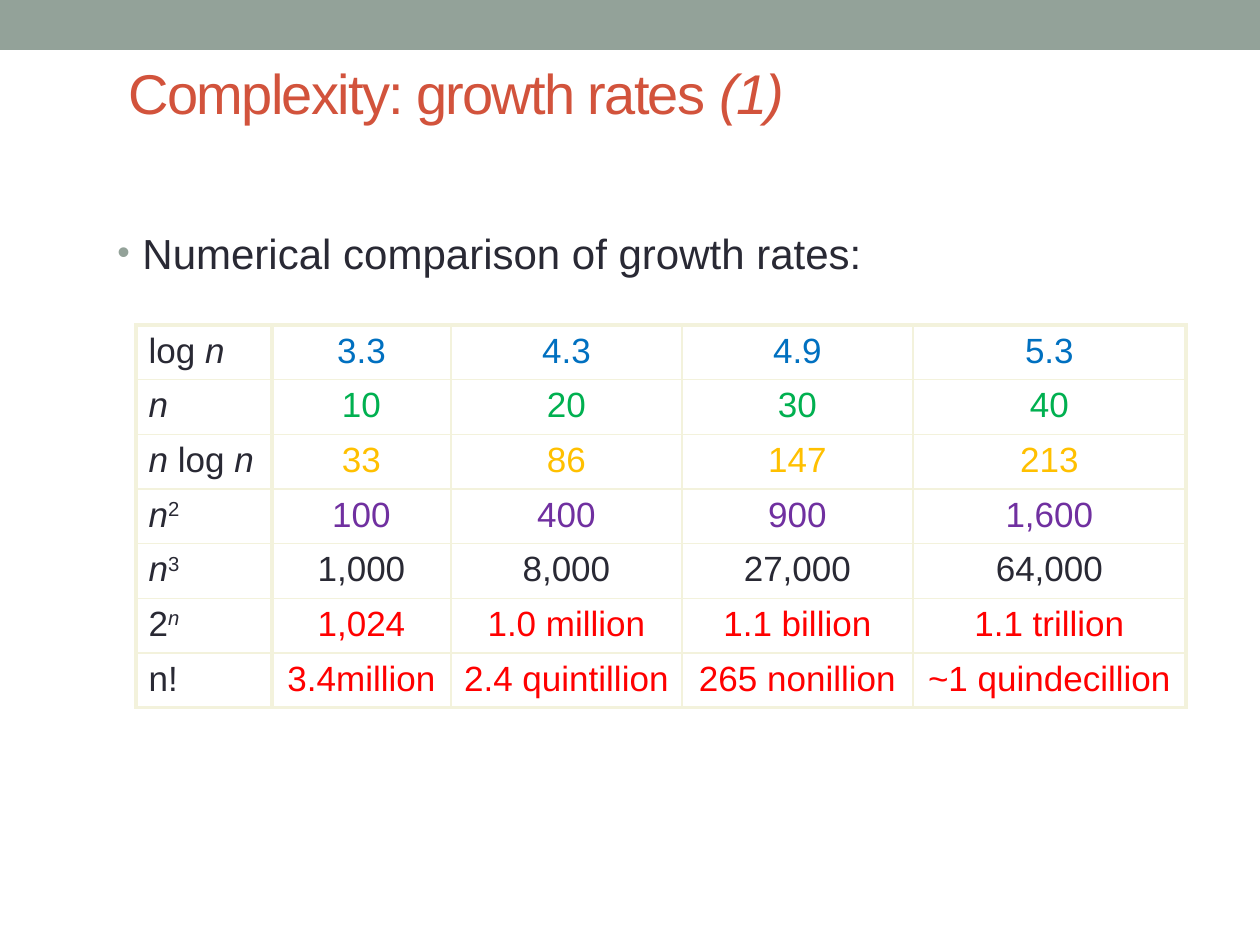
import pptx
import pptx.util
import pptx.dml.color
import pptx.enum.shapes
import pptx.enum.text
import pptx.oxml.ns
from lxml import etree
from dataclasses import dataclass

PX = 914400 / 126  # EMU in one px


@dataclass(frozen=True)
class Theme:
    font: str = "Arial"
    banner: str = "93A299"
    title: str = "D2533C"
    text: str = "292934"
    border: str = "F3F2DC"
    paper: str = "FFFFFF"
    title_size: int = 32
    body_size: int = 24
    table_size: int = 20


theme = Theme()
align = pptx.enum.text.PP_ALIGN
rgb = pptx.dml.color.RGBColor.from_string


def px(*lengths):
    return [pptx.util.Emu(round(length * PX)) for length in lengths]


def write(paragraph, text, size=theme.table_size, color=theme.text, alignment=align.LEFT, spacing=0):
    """Write text where *...* is italic and ^ raises the piece after it."""
    paragraph.alignment = alignment
    for index, piece in enumerate(text.split("*")):
        for level, part in enumerate(piece.split("^")):
            if not part:
                continue
            run = paragraph.add_run()
            run.text = part
            run.font.name = theme.font
            run.font.size = pptx.util.Pt(size)
            run.font.italic = index % 2 == 1
            run.font.color.rgb = rgb(color)
            properties = run._r.get_or_add_rPr()
            if level:
                properties.set("baseline", "30000")
            if spacing:
                properties.set("spc", str(spacing * 100))


presentation = pptx.Presentation()
presentation.slide_width, presentation.slide_height = px(1260, 945)
slide = presentation.slides.add_slide(presentation.slide_layouts[5])

# Banner
banner = slide.shapes.add_shape(pptx.enum.shapes.MSO_SHAPE.RECTANGLE, *px(0, 0, 1260, 50))
banner.shadow.inherit = False
banner.fill.solid()
banner.fill.fore_color.rgb = rgb(theme.banner)
banner.line.fill.background()

# Title
title = slide.shapes.title
title.left, title.top, title.width, title.height = px(116, 42, 847, 100)
title.text_frame.auto_size = pptx.enum.text.MSO_AUTO_SIZE.NONE
title.text_frame.vertical_anchor = pptx.enum.text.MSO_ANCHOR.MIDDLE
write(title.text_frame.paragraphs[0], "Complexity: growth rates *(1)*",
      size=theme.title_size, color=theme.title, spacing=-1)

# Bullet
body = slide.shapes.add_textbox(*px(105, 221, 988, 641))
body.text_frame.word_wrap = True
paragraph = body.text_frame.paragraphs[0]
properties = paragraph._p.get_or_add_pPr()
indent = px(25)[0]
properties.set("marL", str(indent))
properties.set("indent", str(-indent))
bullet_color = etree.SubElement(properties, pptx.oxml.ns.qn("a:buClr"))
etree.SubElement(bullet_color, pptx.oxml.ns.qn("a:srgbClr"), val=theme.banner)
etree.SubElement(properties, pptx.oxml.ns.qn("a:buSzPct"), val="85000")
etree.SubElement(properties, pptx.oxml.ns.qn("a:buFont"), typeface=theme.font)
etree.SubElement(properties, pptx.oxml.ns.qn("a:buChar"), char="•")
write(paragraph, "Numerical comparison of growth rates:", size=theme.body_size)

# Growth table: colour of the values, growth rate, values
growth_rows = [
    ("0070C0", "log *n*", "3.3", "4.3", "4.9", "5.3"),
    ("00B050", "*n*", "10", "20", "30", "40"),
    ("FFC000", "*n* log *n*", "33", "86", "147", "213"),
    ("7030A0", "*n*^2", "100", "400", "900", "1,600"),
    (theme.text, "*n*^3", "1,000", "8,000", "27,000", "64,000"),
    ("FF0000", "2*^n*", "1,024", "1.0 million", "1.1 billion", "1.1 trillion"),
    ("FF0000", "n!", "3.4million", "2.4 quintillion", "265 nonillion", "~1 quindecillion"),
]
column_widths = [136, 179, 231, 231, 273]
last_row, last_column = len(growth_rows) - 1, len(column_widths) - 1
table = slide.shapes.add_table(len(growth_rows), len(column_widths),
                               *px(136, 325, sum(column_widths), 382)).table
table.first_row = table.horz_banding = False
for column, width in zip(table.columns, px(*column_widths)):
    column.width = width

for row, (color, *texts) in enumerate(growth_rows):
    for column, text in enumerate(texts):
        cell = table.cell(row, column)
        # Thick lines run round the table and after the first column
        thick = {
            "L": column <= 1,
            "R": column in (0, last_column),
            "T": row == 0,
            "B": row == last_row,
        }
        cell_properties = cell._tc.get_or_add_tcPr()
        for side, is_thick in thick.items():
            width = pptx.util.Pt(2.25 if is_thick else 1)
            line = etree.SubElement(cell_properties, pptx.oxml.ns.qn(f"a:ln{side}"), w=str(width))
            line_fill = etree.SubElement(line, pptx.oxml.ns.qn("a:solidFill"))
            etree.SubElement(line_fill, pptx.oxml.ns.qn("a:srgbClr"), val=theme.border)
        cell.fill.solid()
        cell.fill.fore_color.rgb = rgb(theme.paper)
        write(cell.text_frame.paragraphs[0], text,
              color=color if column else theme.text,
              alignment=align.CENTER if column else align.LEFT)

presentation.save("out.pptx")
